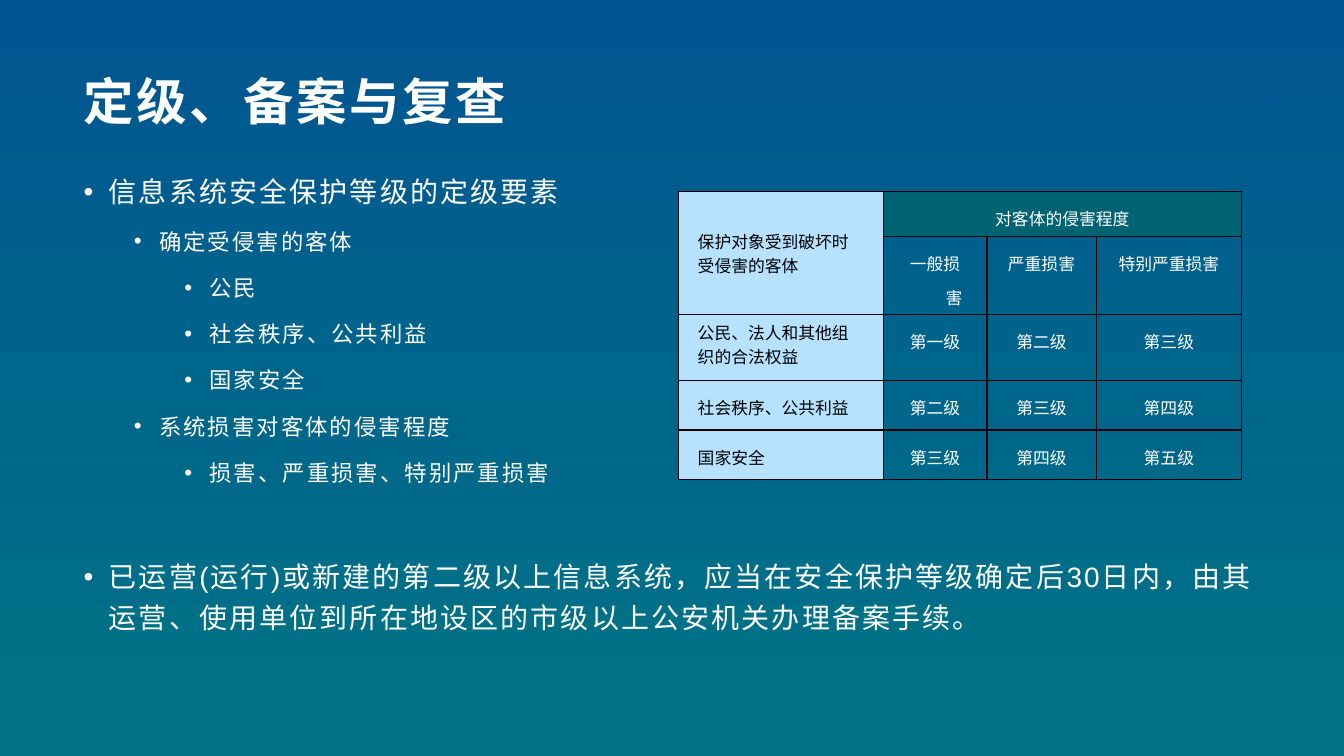
from pptx import Presentation
from pptx.dml.color import RGBColor
from pptx.enum.shapes import MSO_SHAPE as Shape
from pptx.enum.text import MSO_ANCHOR as Anchor, MSO_AUTO_SIZE as AutoSize, PP_ALIGN as Align
from pptx.oxml import parse_xml
from pptx.oxml.ns import nsdecls
from pptx.util import Pt

NAVY, TEAL, DEEP_TEAL = "005690", "007486", "006372"
PALE_BLUE, WHITE, BLACK = "B6E2FF", "FFFFFF", "000000"

BULLETS = [
    (0, "信息系统安全保护等级的定级要素"),
    (1, "确定受侵害的客体"),
    (2, "公民"),
    (2, "社会秩序、公共利益"),
    (2, "国家安全"),
    (1, "系统损害对客体的侵害程度"),
    (2, "损害、严重损害、特别严重损害"),
    (0, "已运营(运行)或新建的第二级以上信息系统，应当在安全保护等级确定后30日内，"
        "由其运营、使用单位到所在地设区的市级以上公安机关办理备案手续。"),
]
GRADES = [
    ["保护对象受到破坏时受侵害的客体", "对客体的侵害程度", "", ""],
    ["", "一般损害", "严重损害", "特别严重损害"],
    ["公民、法人和其他组织的合法权益", "第一级", "第二级", "第三级"],
    ["社会秩序、公共利益", "第二级", "第三级", "第四级"],
    ["国家安全", "第三级", "第四级", "第五级"],
]
COLUMN_WIDTHS = [146, 74.2, 78, 104]
ROW_HEIGHTS = [32, 50, 47, 35.5, 35.5]


def color(value):
    return RGBColor.from_string(value)


def place(shape, box):
    shape.left, shape.top, shape.width, shape.height = (Pt(length) for length in box)


def style_font(paragraph, size, fill, name="Arial", bold=None, spacing=0):
    """Set the paragraph's font; spacing is the extra space between letters in points."""
    font = paragraph.font
    font.size, font.name, font.bold = Pt(size), name, bold
    font.color.rgb = color(fill)
    if spacing:
        properties = paragraph._p.get_or_add_pPr().get_or_add_defRPr()
        properties.set("spc", str(int(spacing * 100)))


def set_indent(paragraph, margin, hanging):
    properties = paragraph._p.get_or_add_pPr()
    properties.set("marL", str(Pt(margin)))
    properties.set("indent", str(-Pt(hanging)))
    return properties


def paint_background(slide):
    fill = slide.background.fill
    fill.gradient()
    fill.gradient_angle = 270
    for stop, value in zip(fill.gradient_stops, (NAVY, TEAL)):
        stop.color.rgb = color(value)


def add_title(slide, box):
    left, top, width, height = box
    bar = slide.shapes.add_shape(Shape.ROUNDED_RECTANGLE, Pt(left + 1.5), Pt(top + 37),
                                 Pt(width + 3), Pt(4))
    bar.shadow.inherit = False
    bar.fill.solid()
    bar.fill.fore_color.rgb = color(NAVY)
    bar.line.fill.background()
    slide.shapes._spTree.insert(2, bar._element)

    title = slide.shapes.title
    place(title, box)
    frame = title.text_frame
    frame.text = "定级、备案与复查"
    frame.auto_size = AutoSize.NONE
    frame.vertical_anchor = Anchor.MIDDLE
    paragraph = frame.paragraphs[0]
    paragraph.alignment = Align.LEFT
    paragraph.line_spacing = 1.2
    style_font(paragraph, 36, WHITE, bold=True, spacing=2)


def fill_body(slide, box):
    body = slide.placeholders[1]
    place(body, box)
    frame = body.text_frame
    frame.text = "\n".join(text for _, text in BULLETS)
    frame.auto_size = AutoSize.NONE
    frame.vertical_anchor = Anchor.TOP
    for paragraph, (level, _) in zip(frame.paragraphs, BULLETS):
        paragraph.level = level
        paragraph.line_spacing = 1.2
        paragraph.space_before, paragraph.space_after = Pt(0), Pt(10)
        properties = set_indent(paragraph, 18 + 36 * level, 18)
        properties.append(parse_xml(f'<a:buChar {nsdecls("a")} char="•"/>'))
        style_font(paragraph, 16 if level else 20, WHITE, spacing=1.5)
    frame.paragraphs[-1].space_before = Pt(38)


def add_borders(cell):
    properties = cell._tc.get_or_add_tcPr()
    for side in ("lnL", "lnR", "lnT", "lnB"):
        properties.append(parse_xml(
            f'<a:{side} {nsdecls("a")} w="{Pt(1)}"><a:solidFill>'
            f'<a:srgbClr val="{BLACK}"/></a:solidFill></a:{side}>'))


def format_cell(cell, row, column):
    is_label = column == 0
    add_borders(cell)
    if is_label or row == 0:
        cell.fill.solid()
        cell.fill.fore_color.rgb = color(PALE_BLUE if is_label else DEEP_TEAL)
    else:
        cell.fill.background()
    cell.margin_left = cell.margin_right = Pt(13.6)
    cell.margin_top = cell.margin_bottom = Pt(3.6)
    cell.vertical_anchor = Anchor.MIDDLE if is_label and row == 0 else Anchor.TOP
    paragraph = cell.text_frame.paragraphs[0]
    if not is_label:
        paragraph.alignment = Align.CENTER
        set_indent(paragraph, 27, 27)
    if not is_label or row > 2:
        paragraph.line_spacing = 1.4
    style_font(paragraph, 12, BLACK if is_label else WHITE, "Noto Sans CJK SC")


def add_grade_table(slide, left, top):
    frame = slide.shapes.add_table(len(ROW_HEIGHTS), len(COLUMN_WIDTHS), Pt(left), Pt(top),
                                   Pt(sum(COLUMN_WIDTHS)), Pt(sum(ROW_HEIGHTS)))
    table = frame.table
    table.first_row = table.horz_banding = False
    for column, width in zip(table.columns, COLUMN_WIDTHS):
        column.width = Pt(width)
    for row, height in zip(table.rows, ROW_HEIGHTS):
        row.height = Pt(height)
    table.cell(0, 0).merge(table.cell(1, 0))
    table.cell(0, 1).merge(table.cell(0, 3))
    for row, texts in enumerate(GRADES):
        for column, text in enumerate(texts):
            cell = table.cell(row, column)
            cell.text = text
            format_cell(cell, row, column)


def main():
    presentation = Presentation()
    presentation.slide_width, presentation.slide_height = Pt(960), Pt(540)
    slide = presentation.slides.add_slide(presentation.slide_layouts[1])
    paint_background(slide)
    add_title(slide, (52.5, 34.5, 850, 65.5))
    fill_body(slide, (52.5, 116.5, 852, 382))
    add_grade_table(slide, 484.8, 136.8)
    presentation.save("out.pptx")


if __name__ == "__main__":
    main()
